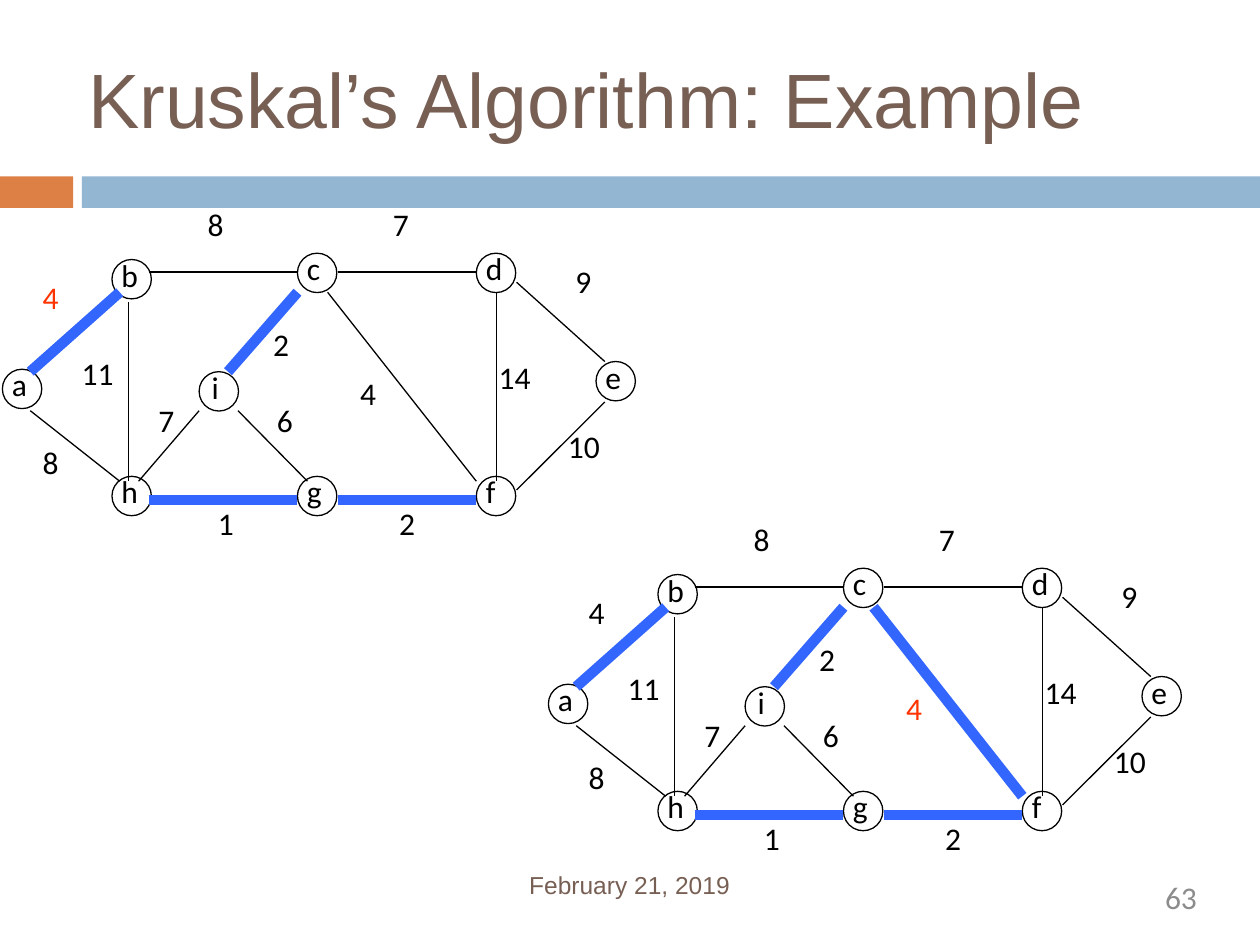
"""Builds a slide with two steps of Kruskal's algorithm on one weighted graph."""
from lxml import etree
from pptx import Presentation
from pptx.dml.color import RGBColor
from pptx.enum import shapes, text
from pptx.oxml import ns
from pptx.util import Pt

BLACK = RGBColor(0x00, 0x00, 0x00)
BLUE = RGBColor(0x33, 0x66, 0xFF)
RED = RGBColor(0xFF, 0x33, 0x00)
BROWN = RGBColor(0x77, 0x5F, 0x54)
GRAY = RGBColor(0x8C, 0x8C, 0x8C)
ORANGE = RGBColor(0xDD, 0x80, 0x46)
PALE_BLUE = RGBColor(0x93, 0xB6, 0xD2)

TITLE = "Kruskal’s Algorithm: Example"
BARS = [(0, 41.8, ORANGE), (46.8, 673.2, PALE_BLUE)]
NODE_SIZE = 22.5
NODES = {
    "a": (1.4, 211), "b": (64, 148.3), "h": (64, 272.2),
    "c": (170, 144.7), "d": (272.2, 144.7), "e": (340.6, 206.6),
    "f": (272.2, 272.2), "g": (170, 272.2), "i": (113.8, 212.4),
}
EDGES = {
    "ab": ((17.3, 212.4), (68.4, 167), "4", (17.3, 155.5)),
    "ah": ((17.3, 234.7), (68.4, 275), "8", (17.3, 249.8)),
    "bh": ((73.4, 172.8), (73.4, 275), "11", (39.6, 198.7)),
    "bc": ((85, 155.5), (170, 155.5), "8", (111.6, 113.8)),
    "hg": ((85, 285.8), (170, 285.8), "1", (117.4, 284.4)),
    "gf": ((193, 285.8), (272.2, 285.8), "2", (221, 284.4)),
    "cf": ((187.2, 167), (272.2, 275), "4", (198.7, 210.2)),
    "cd": ((193, 155.5), (272.2, 155.5), "7", (217.4, 113.8)),
    "df": ((283.7, 167), (283.7, 275), "14", (277.9, 200.9)),
    "de": ((295.2, 161.3), (345.6, 206.6), "9", (321.8, 146.2)),
    "fe": ((295.2, 280), (345.6, 229.7), "10", (317.5, 240.5)),
    "ig": ((136, 234.7), (175.7, 275), "6", (151.2, 225.4)),
    "hi": ((79.2, 275), (113.8, 234.7), "7", (83.5, 225.4)),
    "ic": ((130.3, 212.4), (170, 167), "2", (149, 182.2)),
}
STEPS = [
    {"offset": (0, 0), "tree": {"ab", "hg", "gf", "ic"}, "added": "ab"},
    {"offset": (312, 180), "tree": {"ab", "hg", "gf", "ic", "cf"}, "added": "cf"},
]


def set_font(para, name, size, color):
    para.font.name, para.font.size = name, Pt(size)
    para.font.color.rgb = color


def add_label(parent, words, left, top, width, height, color=BLACK):
    box = parent.add_textbox(Pt(left), Pt(top), Pt(width), Pt(height))
    box.text_frame.word_wrap = False
    box.text_frame.auto_size = text.MSO_AUTO_SIZE.SHAPE_TO_FIT_TEXT
    para = box.text_frame.paragraphs[0]
    para.text = words
    set_font(para, "Calibri", 18, color)


def add_node(parent, name, left, top):
    shift = 0 if name == "i" else 1.7
    add_label(parent, name, left - shift, top - 5.8, 24, 31)
    circle = parent.add_shape(shapes.MSO_SHAPE.OVAL, Pt(left), Pt(top),
                              Pt(NODE_SIZE), Pt(NODE_SIZE))
    circle.shadow.inherit = False
    circle.fill.background()
    circle.line.color.rgb, circle.line.width = BLACK, Pt(0.75)


def add_edge(parent, start, end, in_tree):
    line = parent.add_connector(shapes.MSO_CONNECTOR.STRAIGHT,
                                *(Pt(value) for value in start + end))
    line.line.color.rgb = BLUE if in_tree else BLACK
    line.line.width = Pt(6 if in_tree else 0.75)
    etree.SubElement(line._element.spPr, ns.qn("a:effectLst"))


def add_graph(page, offset, tree, added):
    parent = page.shapes.add_group_shape().shapes

    def place(point):
        return point[0] + offset[0], point[1] + offset[1]

    for name, corner in NODES.items():
        add_node(parent, name, *place(corner))
    for edge, (start, end, _, _) in EDGES.items():
        add_edge(parent, place(start), place(end), edge in tree)
    for edge, (_, _, weight, corner) in EDGES.items():
        width = 26.6 if len(weight) == 1 else 38.2
        add_label(parent, weight, *place(corner), width, 36,
                  RED if edge == added else BLACK)


def clear_insets(frame):
    frame.margin_left = frame.margin_right = 0
    frame.margin_top = frame.margin_bottom = 0


def add_footer(page, words, area, font, align):
    box = page.shapes.add_textbox(*(Pt(value) for value in area))
    box.text_frame.word_wrap = True
    clear_insets(box.text_frame)
    para = box.text_frame.paragraphs[0]
    para.text, para.alignment = words, align
    set_font(para, *font)
    return para


def add_title(page):
    title = page.shapes.title
    title.left, title.top = Pt(50.4), Pt(27.4)
    title.width, title.height = Pt(619.2), Pt(54.7)
    frame = title.text_frame
    clear_insets(frame)
    frame.auto_size = text.MSO_AUTO_SIZE.NONE
    frame.vertical_anchor = text.MSO_ANCHOR.BOTTOM
    para = frame.paragraphs[0]
    para.text, para.alignment = TITLE, text.PP_ALIGN.LEFT
    set_font(para, "Arial", 44, BROWN)


def main():
    deck = Presentation()
    deck.slide_width, deck.slide_height = Pt(720), Pt(540)
    page = deck.slides.add_slide(deck.slide_layouts[5])
    for left, width, color in BARS:
        bar = page.shapes.add_shape(shapes.MSO_SHAPE.RECTANGLE, Pt(left),
                                    Pt(100.8), Pt(width), Pt(18))
        bar.shadow.inherit = False
        bar.fill.solid()
        bar.fill.fore_color.rgb = color
        bar.line.fill.background()
    add_title(page)
    date = add_footer(page, "February 21, 2019", (302.4, 498.2, 167, 17.3),
                      ("Arial", 14, BROWN), text.PP_ALIGN.LEFT)
    date.line_spacing = Pt(15.8)
    add_footer(page, "63", (518.4, 501.8, 165.6, 27.4),
               ("Calibri", 18, GRAY), text.PP_ALIGN.RIGHT)
    for step in STEPS:
        add_graph(page, **step)
    deck.save("out.pptx")


if __name__ == "__main__":
    main()
